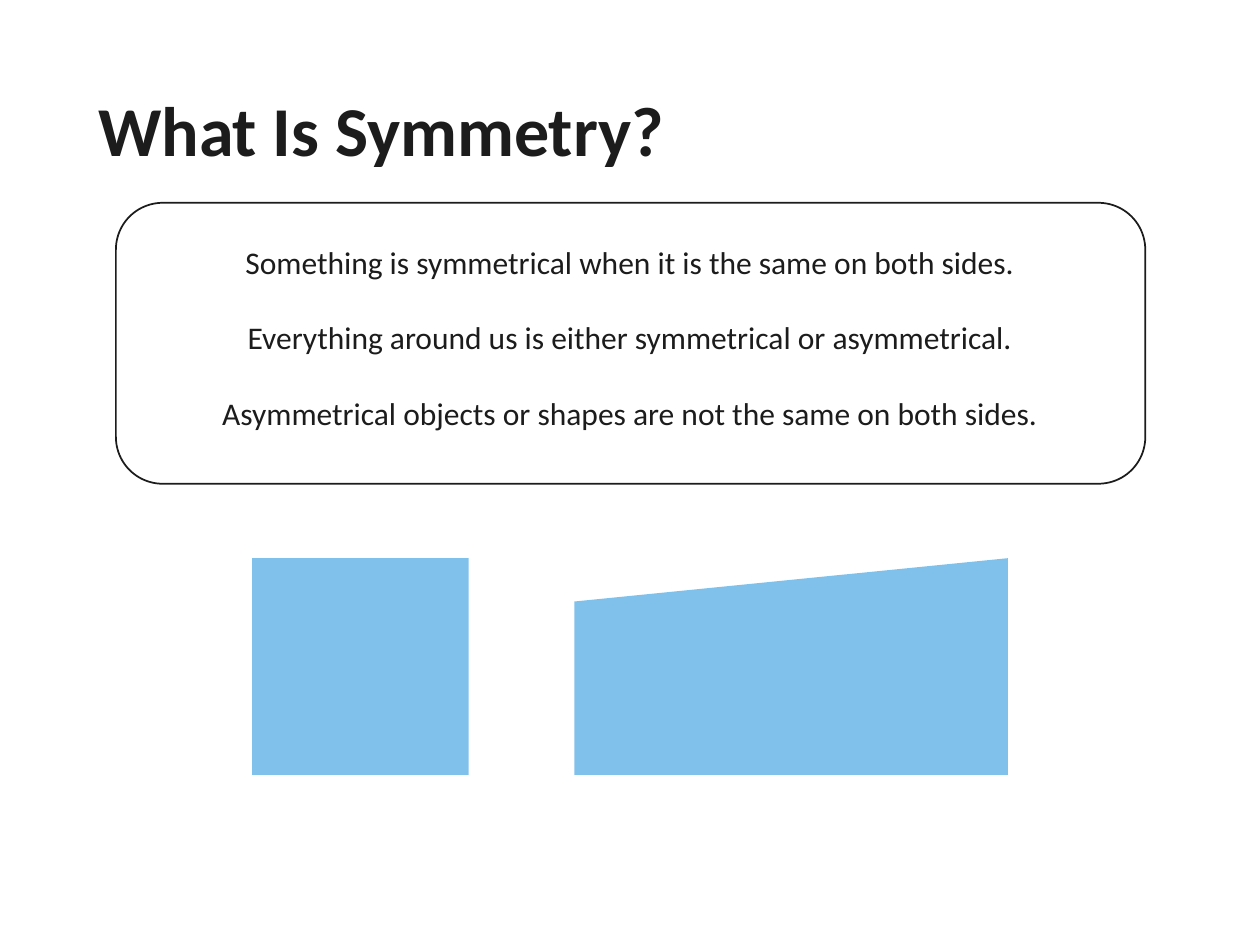
from pptx import Presentation
from pptx.dml.color import RGBColor
from pptx.enum.shapes import MSO_SHAPE
from pptx.enum.text import MSO_ANCHOR, PP_ALIGN
from pptx.util import Inches, Pt

INK = "1C1C1C"
WHITE = "FFFFFF"
BLUE = "80C1EB"
FONT = "Calibri"
STATEMENTS = [
    "Something is symmetrical when it is the same on both sides.",
    "Everything around us is either symmetrical or asymmetrical.",
    "Asymmetrical objects or shapes are not the same on both sides.",
]


def color(value):
    return RGBColor.from_string(value)


def add_filled_shape(slide, kind, left, top, width, height, fill, line=None):
    shape = slide.shapes.add_shape(
        kind, Inches(left), Inches(top), Inches(width), Inches(height)
    )
    shape.shadow.inherit = False
    shape.fill.solid()
    shape.fill.fore_color.rgb = color(fill)
    if line:
        shape.line.color.rgb = color(line)
        shape.line.width = Pt(1)
    else:
        shape.line.fill.background()
    return shape


def add_text_frame(slide, left, top, width, height):
    text_box = slide.shapes.add_textbox(
        Inches(left), Inches(top), Inches(width), Inches(height)
    )
    text_box.text_frame.word_wrap = True
    return text_box.text_frame


def add_run(paragraph, text, size, bold=False):
    run = paragraph.add_run()
    run.text = text
    run.font.name = FONT
    run.font.size = Pt(size)
    run.font.bold = bold
    run.font.color.rgb = color(INK)


def add_title(slide, left, top, width, height):
    frame = add_text_frame(slide, left, top, width, height)
    frame.vertical_anchor = MSO_ANCHOR.MIDDLE
    frame.margin_left = frame.margin_right = Inches(0.28)
    frame.margin_top = frame.margin_bottom = Inches(0.28)
    paragraph = frame.paragraphs[0]
    paragraph.line_spacing = 0.9
    add_run(paragraph, "What Is Symmetry?", 40, bold=True)


def add_definition(slide, left, top, width, height):
    add_filled_shape(
        slide, MSO_SHAPE.ROUNDED_RECTANGLE, left, top, width, height, WHITE, INK
    )
    frame = add_text_frame(slide, left - 0.11, top + 0.27, width + 0.21, 1.62)
    for index, statement in enumerate(STATEMENTS):
        paragraph = frame.add_paragraph() if index else frame.paragraphs[0]
        paragraph.alignment = PP_ALIGN.CENTER
        if index:
            paragraph.space_before = Pt(21.5)
        add_run(paragraph, statement, 18)


def add_examples(slide, left, top, width, height):
    asymmetric_width = 2 * height
    add_filled_shape(slide, MSO_SHAPE.RECTANGLE, left, top, height, height, BLUE)
    add_filled_shape(
        slide, MSO_SHAPE.FLOWCHART_MANUAL_INPUT,
        left + width - asymmetric_width, top, asymmetric_width, height, BLUE,
    )


def main():
    presentation = Presentation()
    presentation.slide_width = Inches(10)
    presentation.slide_height = Inches(7.5)
    slide = presentation.slides.add_slide(presentation.slide_layouts[6])
    add_title(slide, 0.5, 0.52, 8.99, 1.09)
    add_definition(slide, 0.92, 1.61, 8.17, 2.23)
    add_examples(slide, 2, 4.43, 6, 1.72)
    presentation.save("out.pptx")


if __name__ == "__main__":
    main()
